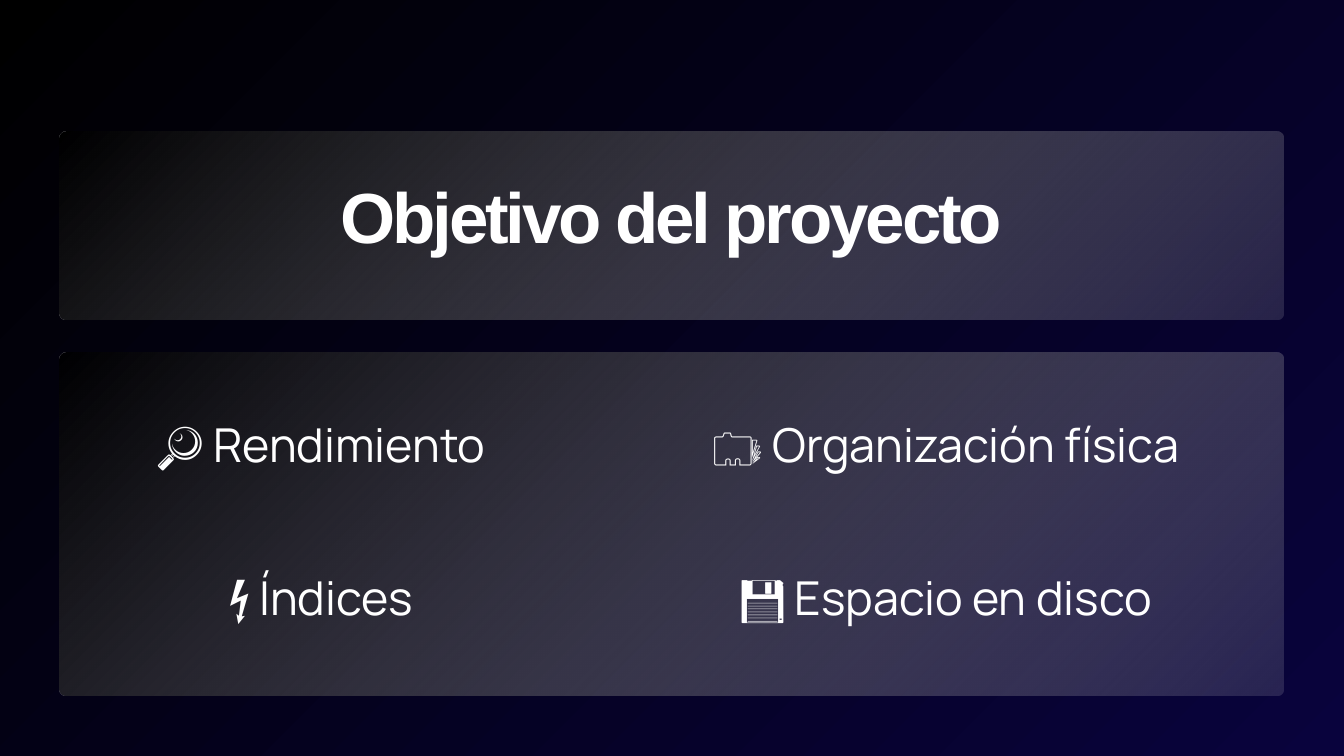
from lxml import etree
from pptx import Presentation
from pptx import util as u
from pptx.dml.color import RGBColor
from pptx.enum import shapes, text
from pptx.oxml import parse_xml
from pptx.oxml.ns import nsdecls, qn

PX = 9525  # EMU per px on a 1920 x 1080 slide
BLACK = RGBColor(0x00, 0x00, 0x00)
NAVY = RGBColor(0x09, 0x03, 0x3D)
SILVER = RGBColor(0xDD, 0xDD, 0xDD)
WHITE = RGBColor(0xFF, 0xFF, 0xFF)

PANEL_LEFT, PANEL_WIDTH, PANEL_RADIUS = 85, 1748, 10
COLUMN_CENTERS = (458, 1351)
ROW_TOPS = (581, 799)
LABEL_HEIGHT = 95
# Rows of (label, width)
GOALS = (
    (("🔎 Rendimiento", 533), ("🗂️ Organización física", 757)),
    (("⚡ Índices", 375), ("💾 Espacio en disco", 671)),
)

DIAGONAL = '<a:lin ang="2700000" scaled="0"/>'
FROM_CORNER = ('<a:path path="circle">'
               '<a:fillToRect l="0" t="0" r="100000" b="100000"/></a:path>')


def px(*lengths):
    return [u.Emu(length * PX) for length in lengths]


def set_gradient(fill, owner, start, end, shade):
    """Fill with two (colour, opacity %) stops; owner holds the fill's XML."""
    fill.solid()
    gradient = parse_xml(
        f'<a:gradFill {nsdecls("a")} rotWithShape="1"><a:gsLst/>{shade}</a:gradFill>')
    for position, (color, opacity) in ((0, start), (100000, end)):
        stop = etree.SubElement(gradient[0], qn("a:gs"), pos=str(position))
        rgb = etree.SubElement(stop, qn("a:srgbClr"), val=str(color))
        if opacity < 100:
            etree.SubElement(rgb, qn("a:alpha"), val=str(opacity * 1000))
    owner.replace(owner.find(qn("a:solidFill")), gradient)


def add_panel(slide, top, height):
    panel = slide.shapes.add_shape(
        shapes.MSO_SHAPE.ROUNDED_RECTANGLE,
        *px(PANEL_LEFT, top, PANEL_WIDTH, height))
    panel.adjustments[0] = PANEL_RADIUS / height
    panel.shadow.inherit = False
    panel.line.fill.background()
    set_gradient(panel.fill, panel.element.spPr, (BLACK, 78), (SILVER, 15), DIAGONAL)


def write_line(box, wording, font_name, size, spacing):
    """Put one centred white line into a box without margins."""
    frame = box.text_frame
    frame.text = wording
    frame.margin_left = frame.margin_right = 0
    frame.margin_top = frame.margin_bottom = 0
    frame.word_wrap = True
    frame.auto_size = text.MSO_AUTO_SIZE.SHAPE_TO_FIT_TEXT
    frame.vertical_anchor = text.MSO_ANCHOR.TOP
    paragraph = frame.paragraphs[0]
    paragraph.alignment = text.PP_ALIGN.CENTER
    paragraph.line_spacing = u.Pt(spacing)
    paragraph.space_before = u.Pt(0)
    run = paragraph.runs[0]
    run.font.name = font_name
    run.font.size = u.Pt(size)
    run.font.color.rgb = WHITE
    return run


def set_title(slide, wording):
    title = slide.shapes.title
    title.left, title.top, title.width, title.height = px(
        PANEL_LEFT, 265, PANEL_WIDTH, 116)
    run = write_line(title, wording, "Arial", 76, 77.5)
    run.font.bold = True
    run.font._element.set("spc", "-340")
    slide.shapes.element.append(title.element)  # in front of its panel


def add_goal(slide, wording, center, top, width):
    label = slide.shapes.add_textbox(
        *px(center - width // 2, top, width, LABEL_HEIGHT))
    write_line(label, wording, "Manrope", 50, 70)


def main():
    prs = Presentation()
    prs.slide_width, prs.slide_height = px(1920, 1080)
    slide = prs.slides.add_slide(prs.slide_layouts[5])

    # Background
    fill = slide.background.fill
    fill.solid()
    set_gradient(fill, slide.element.find(".//" + qn("p:bgPr")),
                 (BLACK, 100), (NAVY, 100), FROM_CORNER)

    # Panels and title
    add_panel(slide, 503, 490)
    add_panel(slide, 188, 269)
    set_title(slide, "Objetivo del proyecto")

    # Project goals
    for top, row in zip(ROW_TOPS, GOALS):
        for center, (wording, width) in zip(COLUMN_CENTERS, row):
            add_goal(slide, wording, center, top, width)

    prs.save("out.pptx")


if __name__ == "__main__":
    main()
